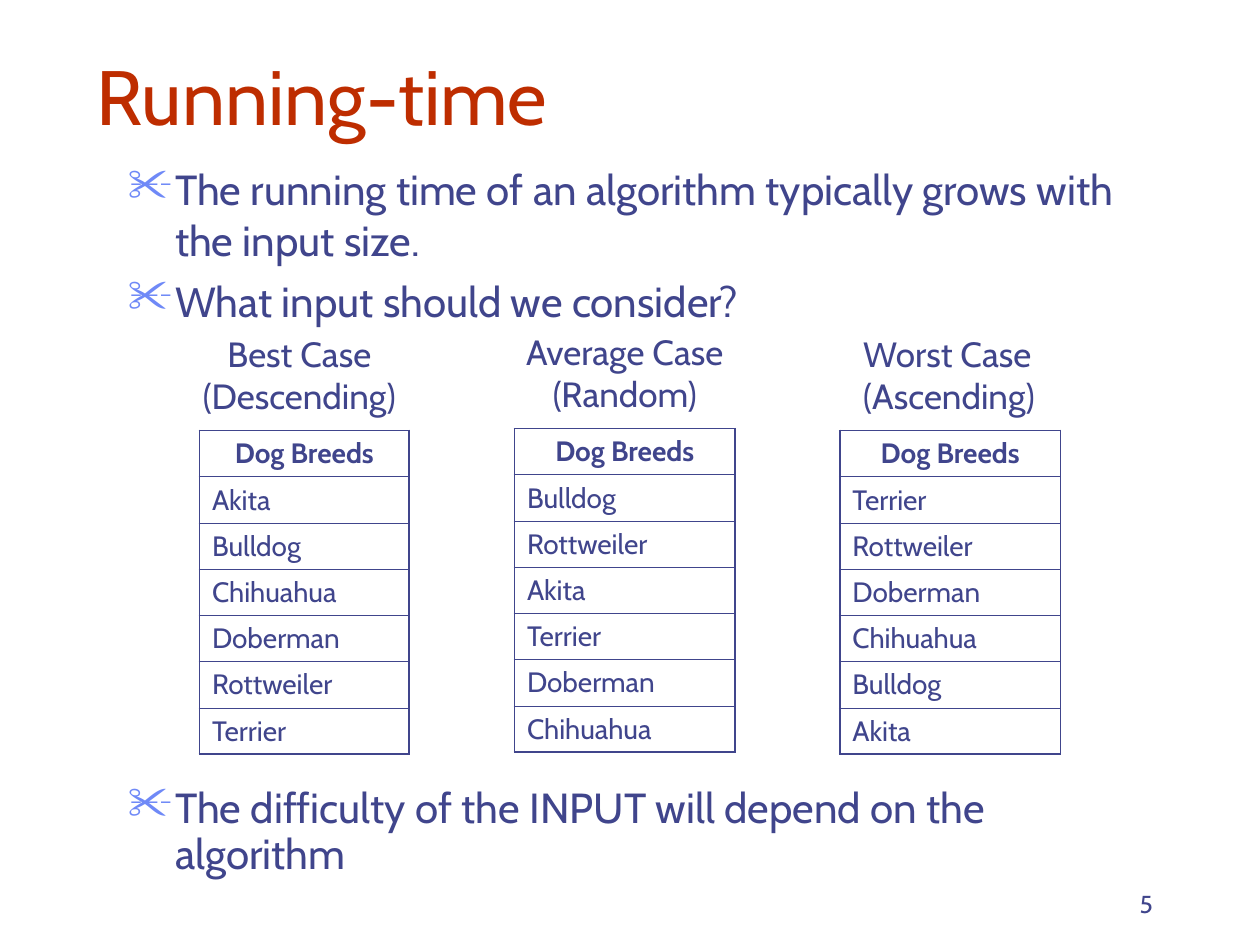
from dataclasses import dataclass

from lxml import etree
from pptx import Presentation
from pptx.dml.color import RGBColor
from pptx.enum.text import MSO_ANCHOR, MSO_AUTO_SIZE, PP_ALIGN
from pptx.oxml.ns import qn
from pptx.util import Cm, Pt

LEFT, CENTER, RIGHT = PP_ALIGN.LEFT, PP_ALIGN.CENTER, PP_ALIGN.RIGHT
TOP, BOTTOM = MSO_ANCHOR.TOP, MSO_ANCHOR.BOTTOM
FIXED = MSO_AUTO_SIZE.NONE

FONT = "Cabin"
INK = "40458C"
TITLE_RED = "BE2D00"
BULLET_BLUE = "6F89F7"
THICK, THIN = Pt(1.08), Pt(0.45)
ROW_HEIGHT = 0.93
TITLE_ONLY = 5


@dataclass
class Area:
    left: float
    top: float
    width: float
    height: float

    def lengths(self):
        return Cm(self.left), Cm(self.top), Cm(self.width), Cm(self.height)


@dataclass
class Case:
    label: str
    label_area: Area
    align: PP_ALIGN
    table_left: float
    table_top: float
    table_width: float
    breeds: list[str]


@dataclass
class Bullet:
    text: str
    space_before: float
    line_spacing: float = 1.0


CASES = [
    Case("Best Case (Descending)", Area(3.18, 6.58, 5.71, 1.96), CENTER, 4.02, 8.68, 4.23,
         ["Akita", "Bulldog", "Chihuahua", "Doberman", "Rottweiler", "Terrier"]),
    Case("Average Case (Random)", Area(10.16, 6.53, 4.87, 2.79), CENTER, 10.37, 8.64, 4.45,
         ["Bulldog", "Rottweiler", "Akita", "Terrier", "Doberman", "Chihuahua"]),
    Case("Worst Case (Ascending)", Area(17.15, 6.58, 4.45, 1.96), LEFT, 16.93, 8.68, 4.45,
         ["Terrier", "Rottweiler", "Doberman", "Chihuahua", "Bulldog", "Akita"]),
]

BULLETS = [
    Bullet("The running time of an algorithm typically grows with the input size.", 0),
    Bullet("What input should we consider?", 6),
    Bullet("The difficulty of the INPUT will depend on the algorithm", 264, 0.9),
]


def color(value: str) -> RGBColor:
    return RGBColor.from_string(value)


def style(para, size: float, ink: str = INK, align: PP_ALIGN = LEFT, bold: bool = False) -> None:
    para.alignment = align
    para.font.name = FONT
    para.font.size = Pt(size)
    para.font.bold = bold
    para.font.color.rgb = color(ink)


def add_text_box(page, area: Area, anchor: MSO_ANCHOR = TOP):
    frame = page.shapes.add_textbox(*area.lengths()).text_frame
    frame.word_wrap = True
    frame.vertical_anchor = anchor
    return frame


def add_label(page, area: Area, text: str, size: float, align: PP_ALIGN,
              anchor: MSO_ANCHOR = TOP) -> None:
    para = add_text_box(page, area, anchor).paragraphs[0]
    para.text = text
    style(para, size, align=align)


def add_bullet_mark(para) -> None:
    properties = para._p.get_or_add_pPr()
    properties.set("marL", str(Cm(0.95)))
    properties.set("indent", str(-Cm(0.95)))
    bullet_color = etree.SubElement(properties, qn("a:buClr"))
    etree.SubElement(bullet_color, qn("a:srgbClr"), val=BULLET_BLUE)
    etree.SubElement(properties, qn("a:buSzPct"), val="110000")
    etree.SubElement(properties, qn("a:buChar"), char="✂")


def add_bullets(page, area: Area, bullets: list[Bullet]) -> None:
    frame = add_text_box(page, area)
    for index, bullet in enumerate(bullets):
        para = frame.add_paragraph() if index else frame.paragraphs[0]
        para.text = bullet.text
        add_bullet_mark(para)
        para.space_before = Pt(bullet.space_before)
        para.line_spacing = bullet.line_spacing
        style(para, 24)


def set_borders(cell, top: int, bottom: int) -> None:
    properties = cell._tc.get_or_add_tcPr()
    sides = {"a:lnL": THICK, "a:lnR": THICK, "a:lnT": top, "a:lnB": bottom}
    for side, width in sides.items():
        line = etree.SubElement(properties, qn(side), w=str(width))
        fill = etree.SubElement(line, qn("a:solidFill"))
        etree.SubElement(fill, qn("a:srgbClr"), val=INK)


def add_breed_table(page, case: Case) -> None:
    entries = ["Dog Breeds", *case.breeds]
    last = len(entries) - 1
    area = Area(case.table_left, case.table_top, case.table_width, ROW_HEIGHT * len(entries))
    table = page.shapes.add_table(len(entries), 1, *area.lengths()).table
    table.first_row = table.horz_banding = False
    for index, entry in enumerate(entries):
        table.rows[index].height = Cm(ROW_HEIGHT)
        cell = table.cell(index, 0)
        is_header = index == 0
        set_borders(cell, THICK if is_header else THIN, THICK if index == last else THIN)
        cell.fill.background()
        para = cell.text_frame.paragraphs[0]
        para.text = entry
        style(para, 16, align=CENTER if is_header else LEFT, bold=is_header)


def add_title(page, area: Area, text: str) -> None:
    title = page.shapes.title
    title.left, title.top, title.width, title.height = area.lengths()
    frame = title.text_frame
    frame.auto_size = FIXED
    frame.vertical_anchor = BOTTOM
    frame.text = text
    style(frame.paragraphs[0], 44, TITLE_RED)


def main() -> None:
    deck = Presentation()
    deck.slide_width, deck.slide_height = Cm(25.4), Cm(19.05)
    page = deck.slides.add_slide(deck.slide_layouts[TITLE_ONLY])
    add_title(page, Area(1.69, 0.85, 21.59, 2.12), "Running-time")
    add_bullets(page, Area(2.33, 3.18, 20.53, 15.87), BULLETS)
    for case in CASES:
        add_label(page, case.label_area, case.label, 20, case.align)
        add_breed_table(page, case)
    add_label(page, Area(18.2, 17.36, 5.29, 1.27), "5", 14, RIGHT, BOTTOM)
    deck.save("out.pptx")


if __name__ == "__main__":
    main()
